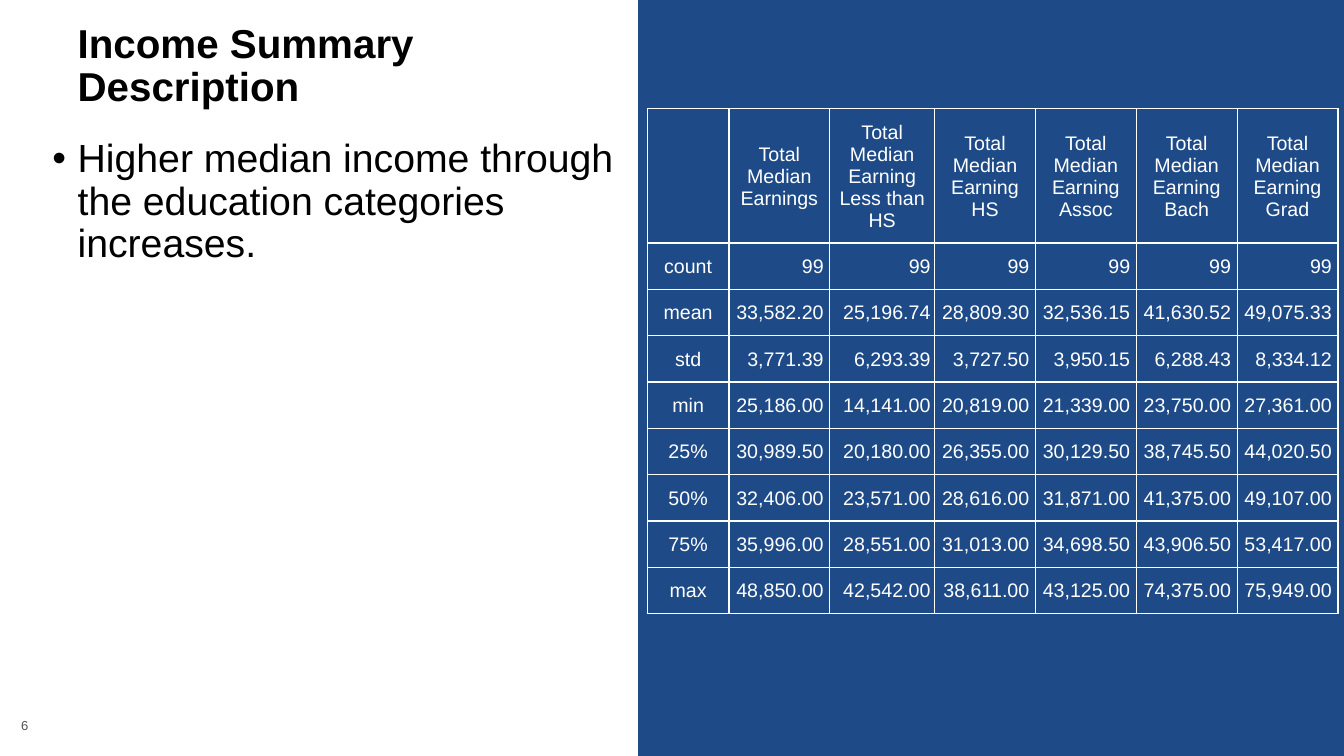
from dataclasses import dataclass
from typing import Any

from lxml import etree
from pptx import Presentation
from pptx.dml.color import RGBColor
from pptx.enum.shapes import MSO_SHAPE
from pptx.enum.text import MSO_ANCHOR, MSO_AUTO_SIZE, PP_ALIGN
from pptx.oxml.ns import qn
from pptx.util import Inches, Pt

RECTANGLE = MSO_SHAPE.RECTANGLE
TOP, MIDDLE = MSO_ANCHOR.TOP, MSO_ANCHOR.MIDDLE
NO_AUTOFIT = MSO_AUTO_SIZE.NONE
LEFT, CENTER, RIGHT = PP_ALIGN.LEFT, PP_ALIGN.CENTER, PP_ALIGN.RIGHT

BLUE, WHITE, BLACK, GRAY = "1E4B87", "FFFFFF", "000000", "53565A"


@dataclass
class TextStyle:
    size: float
    color: str
    bold: bool = False
    align: Any = LEFT
    line_spacing: float = 1.0
    space_before: float = 0


@dataclass
class Statistic:
    label: str
    values: str


TITLE_STYLE = TextStyle(28.8, BLACK, bold=True, line_spacing=0.9)
FINDING_STYLE = TextStyle(28, BLACK, line_spacing=0.9, space_before=10)
PAGE_STYLE = TextStyle(9.3, GRAY)
LABEL_STYLE = TextStyle(14, WHITE, align=CENTER)
VALUE_STYLE = TextStyle(14, WHITE, align=RIGHT)

EARNINGS = [
    "Total Median Earnings",
    *(f"Total Median Earning {level}" for level in ("Less than HS", "HS", "Assoc", "Bach", "Grad")),
]
STATISTICS = [
    Statistic("count", "99 99 99 99 99 99"),
    Statistic("mean", "33,582.20 25,196.74 28,809.30 32,536.15 41,630.52 49,075.33"),
    Statistic("std", "3,771.39 6,293.39 3,727.50 3,950.15 6,288.43 8,334.12"),
    Statistic("min", "25,186.00 14,141.00 20,819.00 21,339.00 23,750.00 27,361.00"),
    Statistic("25%", "30,989.50 20,180.00 26,355.00 30,129.50 38,745.50 44,020.50"),
    Statistic("50%", "32,406.00 23,571.00 28,616.00 31,871.00 41,375.00 49,107.00"),
    Statistic("75%", "35,996.00 28,551.00 31,013.00 34,698.50 43,906.50 53,417.00"),
    Statistic("max", "48,850.00 42,542.00 38,611.00 43,125.00 74,375.00 75,949.00"),
]
COLUMN_WIDTHS = [0.81, 1, 1.04, 1, 1, 1, 1]
ROW_HEIGHTS = [1.33] + [0.46] * len(STATISTICS)


def rgb(color: str) -> RGBColor:
    return RGBColor.from_string(color)


def apply(target: Any, formats: dict[str, Any]) -> None:
    for attribute, value in formats.items():
        setattr(target, attribute, value)


def place(shape: Any, left: float, top: float, width: float, height: float) -> None:
    apply(shape, {"left": Inches(left), "top": Inches(top),
                  "width": Inches(width), "height": Inches(height)})


def write(frame: Any, text: str, style: TextStyle) -> Any:
    paragraph = frame.paragraphs[0]
    apply(paragraph, {"alignment": style.align, "line_spacing": style.line_spacing,
                      "space_before": Pt(style.space_before)})
    run = paragraph.add_run()
    run.text = text
    apply(run.font, {"name": "Arial", "size": Pt(style.size), "bold": style.bold})
    run.font.color.rgb = rgb(style.color)
    return paragraph


def outline_cell(cell: Any, color: str, points: float) -> None:
    properties = cell._tc.get_or_add_tcPr()
    for position, side in enumerate(("lnL", "lnR", "lnT", "lnB")):
        border = etree.Element(qn(f"a:{side}"), w=str(Pt(points)))
        fill = etree.SubElement(border, qn("a:solidFill"))
        etree.SubElement(fill, qn("a:srgbClr"), val=color)
        properties.insert(position, border)


def fill_cell(cell: Any, text: str, style: TextStyle, right_margin: float) -> None:
    apply(cell, {"vertical_anchor": MIDDLE, "margin_left": Inches(0.01),
                 "margin_right": Inches(right_margin), "margin_top": Inches(0.01),
                 "margin_bottom": 0})
    cell.fill.background()
    outline_cell(cell, WHITE, 1)
    if text:
        write(cell.text_frame, text, style)


def add_summary_table(slide: Any) -> None:
    rows = [["", *EARNINGS]] + [[s.label, *s.values.split()] for s in STATISTICS]
    summary = slide.shapes.add_table(
        len(rows), len(COLUMN_WIDTHS), Inches(6.42), Inches(1.08),
        Inches(sum(COLUMN_WIDTHS)), Inches(sum(ROW_HEIGHTS))).table
    apply(summary, {"first_row": False, "horz_banding": False})
    for column, width in zip(summary.columns, COLUMN_WIDTHS):
        column.width = Inches(width)
    for row, height in zip(summary.rows, ROW_HEIGHTS):
        row.height = Inches(height)
    for r, texts in enumerate(rows):
        for c, text in enumerate(texts):
            is_value = r > 0 and c > 0
            value_margin = 0.04 if c == 2 else 0.06
            fill_cell(summary.cell(r, c), text,
                      VALUE_STYLE if is_value else LABEL_STYLE,
                      value_margin if is_value else 0.01)


presentation = Presentation()
apply(presentation, {"slide_width": Inches(13.33), "slide_height": Inches(7.5)})
slide = presentation.slides.add_slide(presentation.slide_layouts[1])

panel = slide.shapes.add_shape(RECTANGLE, Inches(6.33), 0, Inches(7), Inches(7.5))
panel.shadow.inherit = False
panel.fill.solid()
panel.fill.fore_color.rgb = rgb(BLUE)
panel.line.color.rgb = rgb(BLUE)
panel.line.width = Pt(0.5)

title = slide.shapes.title
place(title, 0.67, 0.16, 5.52, 1.01)
apply(title.text_frame, {"vertical_anchor": MIDDLE, "auto_size": NO_AUTOFIT, "word_wrap": True})
write(title.text_frame, "Income Summary Description", TITLE_STYLE)

finding = slide.placeholders[1]
place(finding, 0.42, 1.33, 5.77, 5.75)
apply(finding.text_frame, {"vertical_anchor": TOP, "auto_size": NO_AUTOFIT, "word_wrap": True})
finding_line = write(
    finding.text_frame,
    "Higher median income through the education categories increases.", FINDING_STYLE)
bullet_properties = finding_line._p.get_or_add_pPr()
bullet_properties.set("marL", str(Inches(0.25)))
bullet_properties.set("indent", str(-Inches(0.25)))
etree.SubElement(bullet_properties, qn("a:buChar"), char="•")

page_number = slide.shapes.add_textbox(Inches(0.08), Inches(7), Inches(0.65), Inches(0.4))
apply(page_number.text_frame, {
    "vertical_anchor": MIDDLE, "word_wrap": True,
    "margin_left": Inches(0.13), "margin_right": Inches(0.13),
    "margin_top": Inches(0.07), "margin_bottom": Inches(0.07)})
write(page_number.text_frame, "6", PAGE_STYLE)

add_summary_table(slide)
presentation.save("out.pptx")
